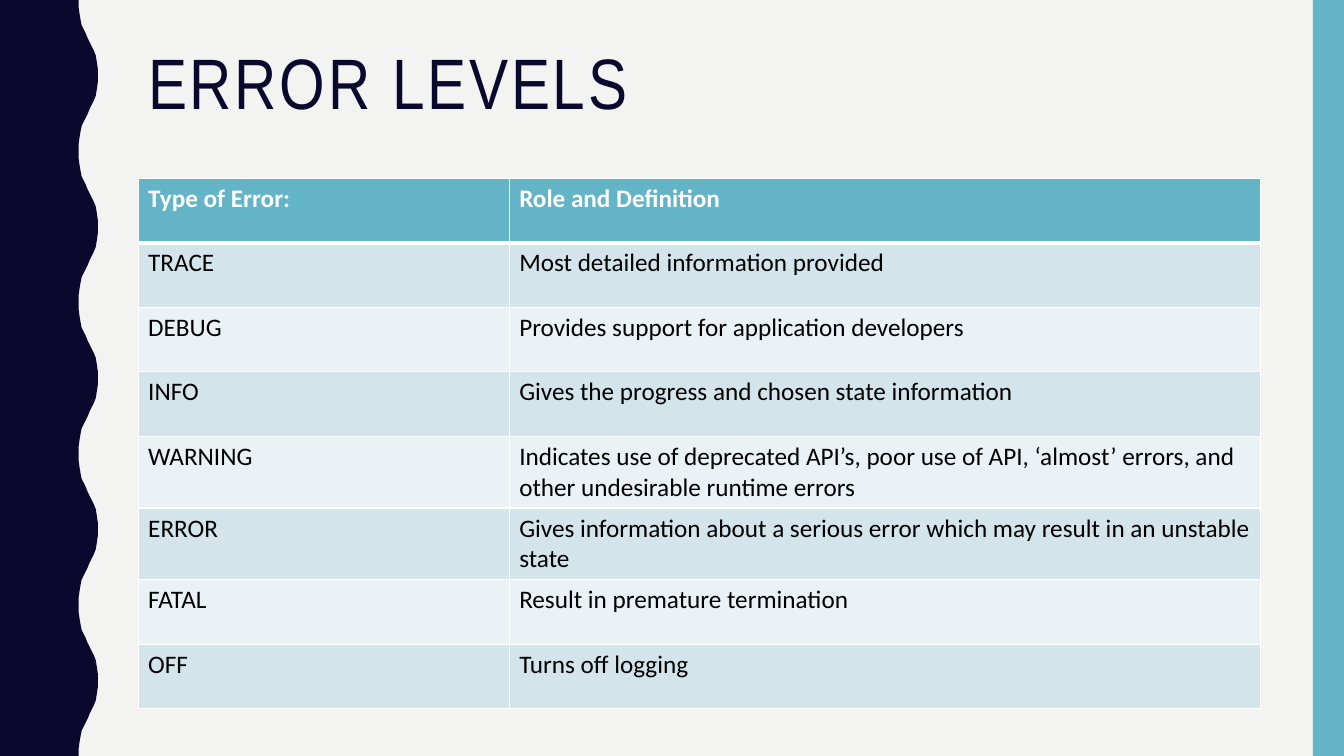
from dataclasses import dataclass

from lxml.etree import SubElement
from pptx import Presentation
from pptx.dml.color import RGBColor
from pptx.enum.shapes import MSO_SHAPE
from pptx.enum.text import MSO_ANCHOR, MSO_AUTO_SIZE, PP_ALIGN
from pptx.oxml.ns import qn
from pptx.util import Inches, Pt


@dataclass(frozen=True)
class Theme:
    """Colours, fonts and type sizes of the slide."""
    paper: RGBColor = RGBColor.from_string("F3F3F2")
    navy: RGBColor = RGBColor.from_string("0B082E")
    teal: RGBColor = RGBColor.from_string("62B4C6")
    band: RGBColor = RGBColor.from_string("D3E5EA")
    pale: RGBColor = RGBColor.from_string("EAF2F5")
    white: RGBColor = RGBColor.from_string("FFFFFF")
    black: RGBColor = RGBColor.from_string("000000")
    heading_font: str = "Arial Narrow"
    body_font: str = "Calibri"
    heading_size: int = 51
    body_size: int = 18
    grid_width: int = 1
    header_rule: int = 3


THEME = Theme()
WIDTH, HEIGHT = 13.33, 7.5
HALF_WAVES = 10
WAVE_X = [0.78, 0.78, 0.79, 0.8, 0.81, 0.83, 0.85, 0.87, 0.89, 0.91, 0.93, 0.95, 0.96, 0.97, 0.97]
WAVE_Y = [0, 0.07, 0.14, 0.2, 0.25, 0.29, 0.33, 0.38, 0.42, 0.46, 0.5, 0.55, 0.61, 0.68, 0.75]
COLUMNS = [3.68, 7.45]
ROW_HEIGHT = 0.64
LEVELS = [
    ("Type of Error:", "Role and Definition"),
    ("TRACE", "Most detailed information provided"),
    ("DEBUG", "Provides support for application developers"),
    ("INFO", "Gives the progress and chosen state information"),
    ("WARNING", "Indicates use of deprecated API’s, poor use of API, ‘almost’ errors, "
                "and other undesirable runtime errors"),
    ("ERROR", "Gives information about a serious error which may result in an unstable state"),
    ("FATAL", "Result in premature termination"),
    ("OFF", "Turns off logging"),
]


def apply(target, formats):
    """Set every attribute in a dict of format values."""
    for attribute, value in formats.items():
        setattr(target, attribute, value)


def style_font(font, name, size, color, bold=False):
    """Give a font its face, size, colour and weight."""
    apply(font, {"name": name, "size": Pt(size), "bold": bold})
    font.color.rgb = color


def paint(shape, color):
    """Fill a shape flatly, without outline or shadow."""
    shape.fill.solid()
    shape.fill.fore_color.rgb = color
    shape.line.fill.background()
    shape.shadow.inherit = False


def add_wavy_edge(slide, left, top):
    """Draw the navy band whose right edge is a mirrored half-wave, repeated."""
    points = []
    for half in range(HALF_WAVES):
        profile = WAVE_X if half % 2 == 0 else WAVE_X[::-1]
        offset = half * WAVE_Y[-1]
        points += [(Inches(left + x), Inches(top + offset + y)) for x, y in zip(profile, WAVE_Y)]
    points.append((Inches(left), Inches(top + HALF_WAVES * WAVE_Y[-1])))
    outline = slide.shapes.build_freeform(Inches(left), Inches(top))
    outline.add_line_segments(points, close=True)
    paint(outline.convert_to_shape(), THEME.navy)


def add_side_bar(slide, left, top, width, height):
    """Draw the teal bar."""
    bar = slide.shapes.add_shape(MSO_SHAPE.RECTANGLE, *map(Inches, (left, top, width, height)))
    paint(bar, THEME.teal)


def place_heading(slide, left, top, width, height):
    """Move the title placeholder into its box and format it."""
    heading = slide.shapes.title
    apply(heading, {"left": Inches(left), "top": Inches(top),
                    "width": Inches(width), "height": Inches(height)})
    heading.text = "ERROR LEVELS"
    apply(heading.text_frame, {"vertical_anchor": MSO_ANCHOR.TOP, "word_wrap": True,
                               "auto_size": MSO_AUTO_SIZE.NONE})
    line = heading.text_frame.paragraphs[0]
    apply(line, {"alignment": PP_ALIGN.LEFT, "line_spacing": 0.9})
    font = line.runs[0].font
    style_font(font, THEME.heading_font, THEME.heading_size, THEME.navy)
    line.runs[0]._r.get_or_add_rPr().set("spc", "200")


def add_borders(cell, top_width, bottom_width):
    """Draw white rules on all four sides of a cell."""
    properties = cell._tc.get_or_add_tcPr()
    sides = {"L": THEME.grid_width, "R": THEME.grid_width, "T": top_width, "B": bottom_width}
    for side, width in sides.items():
        rule = SubElement(properties, qn(f"a:ln{side}"), w=str(Pt(width)))
        fill = SubElement(rule, qn("a:solidFill"))
        SubElement(fill, qn("a:srgbClr"), val=str(THEME.white))


def add_levels_table(slide, left, top, width):
    """Build the banded table of error levels."""
    frame = slide.shapes.add_table(len(LEVELS), len(COLUMNS), Inches(left), Inches(top),
                                   Inches(width), Inches(ROW_HEIGHT * len(LEVELS)))
    levels = frame.table
    for column, column_width in zip(levels.columns, COLUMNS):
        column.width = Inches(column_width)
    for index, texts in enumerate(LEVELS):
        levels.rows[index].height = Inches(ROW_HEIGHT)
        header = index == 0
        background = THEME.teal if header else THEME.band if index % 2 else THEME.pale
        for cell, text in zip(levels.rows[index].cells, texts):
            cell.text = text
            style_font(cell.text_frame.paragraphs[0].runs[0].font, THEME.body_font,
                       THEME.body_size, THEME.white if header else THEME.black, header)
            add_borders(cell, THEME.header_rule if index == 1 else THEME.grid_width,
                        THEME.header_rule if header else THEME.grid_width)
            cell.fill.solid()
            cell.fill.fore_color.rgb = background


def build_error_levels(deck):
    """Compose the error levels slide."""
    slide = deck.slides.add_slide(deck.slide_layouts[5])
    slide.background.fill.solid()
    slide.background.fill.fore_color.rgb = THEME.paper
    add_wavy_edge(slide, 0, 0)
    add_side_bar(slide, WIDTH - 0.31, 0, 0.31, HEIGHT)
    place_heading(slide, 1.37, 0.42, 11.13, 1.63)
    add_levels_table(slide, 1.37, 1.77, sum(COLUMNS))


deck = Presentation()
apply(deck, {"slide_width": Inches(WIDTH), "slide_height": Inches(HEIGHT)})
build_error_levels(deck)
deck.save("out.pptx")
